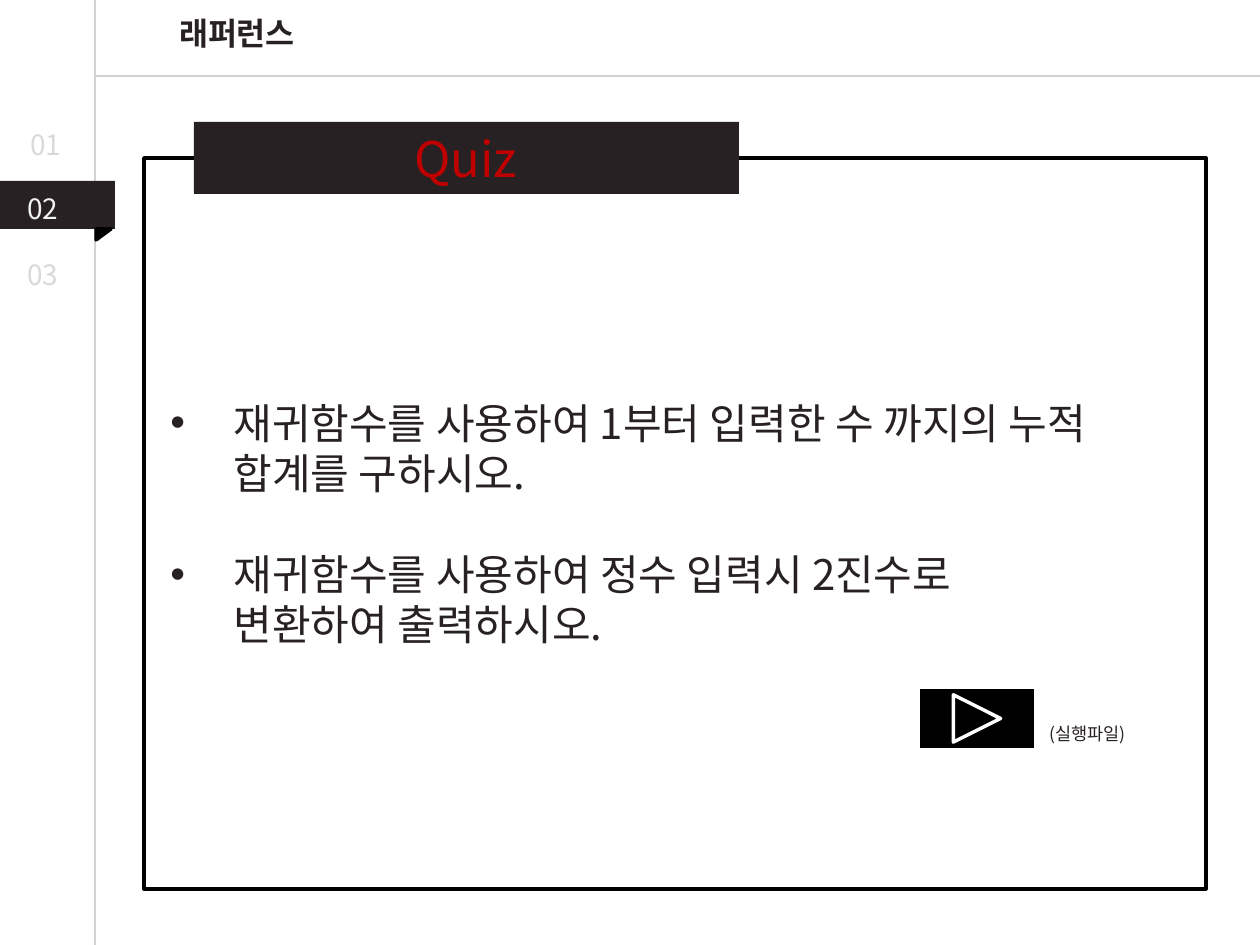
"""Build the recursion quiz slide with its section tabs."""
import pptx
import pptx.util
from pptx.dml.color import RGBColor
from pptx.enum.shapes import MSO_CONNECTOR, MSO_SHAPE
from pptx.enum.text import PP_ALIGN
from pptx.oxml.ns import qn

INK = RGBColor(0x27, 0x21, 0x23)
BLACK = RGBColor(0, 0, 0)
WHITE = RGBColor(0xFF, 0xFF, 0xFF)
PALE = RGBColor(0xD9, 0xD9, 0xD9)
BRIGHT = RGBColor(0xF2, 0xF2, 0xF2)
RULE = RGBColor(0xD2, 0xD2, 0xD2)
RED = RGBColor(0xC0, 0, 0)
FONT = "Noto Sans CJK KR"
WIDTH, HEIGHT, SCALE = 1260, 945, 914400 // 126

RULES = [(95, 0, 95, HEIGHT), (95, 76, WIDTH, 76)]
BLOCKS = [
    (MSO_SHAPE.RECTANGLE, (0, 181, 115, 48), INK, None, 0),
    (MSO_SHAPE.RIGHT_TRIANGLE, (98, 227, 11, 15), BLACK, BLACK, 90),
    (MSO_SHAPE.RECTANGLE, (144, 158, 1062, 731), None, BLACK, 0),
    (MSO_SHAPE.RECTANGLE, (194, 122, 545, 72), INK, None, 0),
    (MSO_SHAPE.ACTION_BUTTON_FORWARD_OR_NEXT, (918, 687, 118, 63), BLACK, WHITE, 0),
]
QUESTIONS = [
    "재귀함수를 사용하여 1부터 입력한 수 까지의 누적 합계를 구하시오.",
    "재귀함수를 사용하여 정수 입력시 2진수로\v변환하여 출력하시오.",
]
CENTERED = {"alignment": PP_ALIGN.CENTER}
LABELS = [
    (["래퍼런스"], (102, 8, 270, 50), {"size": 18, "color": INK, "bold": True}, CENTERED),
    (["01"], (18, 121, 74, 47), {"size": 16, "color": PALE}, {}),
    (["02"], (15, 185, 62, 47), {"size": 16, "color": BRIGHT}, {}),
    (["03"], (15, 251, 62, 47), {"size": 16, "color": PALE}, {}),
    (["Quiz"], (144, 122, 643, 72), {"size": 28, "color": RED}, CENTERED),
    (QUESTIONS, (158, 391, 1017, 267), {"size": 24, "color": INK}, {"bullet": True}),
    (["(실행파일)"], (1037, 717, 108, 34), {"size": 10, "color": INK}, {}),
]


def emu(lengths):
    return [length * SCALE for length in lengths]


def draw_rule(slide, ends):
    rule = slide.shapes.add_connector(MSO_CONNECTOR.STRAIGHT, *emu(ends))
    rule.line.color.rgb = RULE
    rule.line.width = pptx.util.Pt(0.75)
    properties = rule._element.spPr
    properties.append(properties.makeelement(qn("a:effectLst"), {}))


def draw_block(slide, preset, box, fill, outline, rotation):
    block = slide.shapes.add_shape(preset, *emu(box))
    block.shadow.inherit = False
    block.rotation = rotation
    if fill is None:
        block.fill.background()
    else:
        block.fill.solid()
        block.fill.fore_color.rgb = fill
    if outline is None:
        block.line.fill.background()
    else:
        block.line.color.rgb = outline
        block.line.width = pptx.util.Pt(2)


def add_bullet(paragraph):
    properties = paragraph._p.get_or_add_pPr()
    properties.set("marL", "457200")
    properties.set("indent", "-457200")
    for tag, attributes in (("a:buFont", {"typeface": "Arial"}), ("a:buChar", {"char": "•"})):
        properties.append(properties.makeelement(qn(tag), attributes))


def write_label(slide, lines, box, style, layout):
    frame = slide.shapes.add_textbox(*emu(box)).text_frame
    frame.word_wrap = True
    leading = pptx.util.Pt(style["size"] * 1.2)
    formats = {"name": FONT, "size": pptx.util.Pt(style["size"]), "bold": style.get("bold", False)}
    for index, line in enumerate(lines):
        paragraph = frame.add_paragraph() if index else frame.paragraphs[0]
        paragraph.text = line
        paragraph.alignment = layout.get("alignment", PP_ALIGN.LEFT)
        paragraph.line_spacing = leading
        paragraph.space_before = leading if index else 0
        if layout.get("bullet"):
            add_bullet(paragraph)
        for run in paragraph.runs:
            for key, value in formats.items():
                setattr(run.font, key, value)
            run.font.color.rgb = style["color"]
            properties = run._r.get_or_add_rPr()
            properties.append(properties.makeelement(qn("a:ea"), {"typeface": FONT}))


deck = pptx.Presentation()
deck.slide_width, deck.slide_height = emu((WIDTH, HEIGHT))
quiz = deck.slides.add_slide(deck.slide_layouts[6])
for ends in RULES:
    draw_rule(quiz, ends)
for block in BLOCKS:
    draw_block(quiz, *block)
for label in LABELS:
    write_label(quiz, *label)
deck.save("out.pptx")
